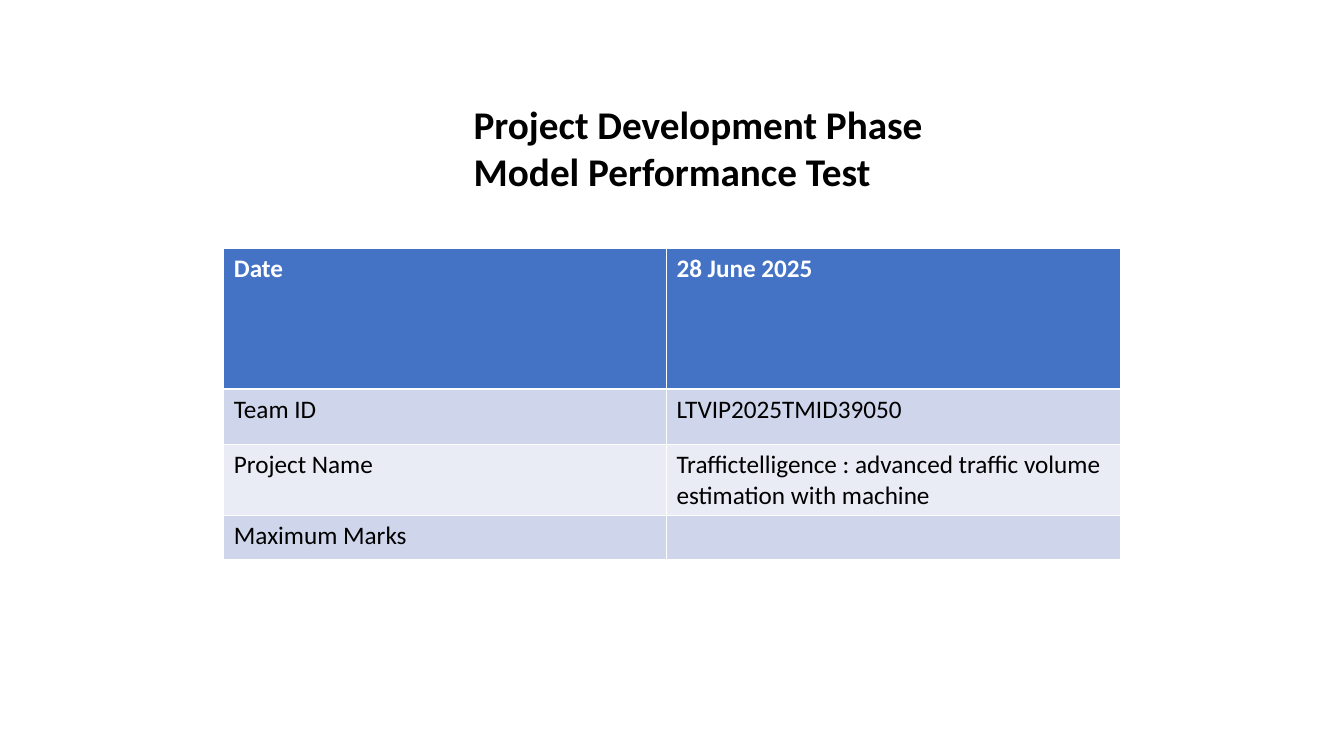
"""Build the project phase title slide with its details table."""
from pptx import Presentation
from pptx.dml.color import RGBColor
from pptx.enum.text import MSO_AUTO_SIZE
from pptx.util import Inches, Pt

FIT_SHAPE = MSO_AUTO_SIZE.SHAPE_TO_FIT_TEXT
BLACK = RGBColor(0x00, 0x00, 0x00)
WHITE = RGBColor(0xFF, 0xFF, 0xFF)
HEADER_BLUE = RGBColor(0x44, 0x72, 0xC4)
BAND_DARK = RGBColor(0xCF, 0xD5, 0xEA)
BAND_LIGHT = RGBColor(0xE9, 0xEB, 0xF5)

TITLE_LINES = ["Project Development Phase", "Model Performance Test"]
DETAILS = [
    ("Date", "28 June 2025"),
    ("Team ID", "LTVIP2025TMID39050"),
    ("Project Name", "Traffictelligence : advanced traffic volume estimation with machine"),
    ("Maximum Marks", ""),
]
COLUMN_WIDTHS = [4.39, 4.5]
ROW_HEIGHTS = [1.4, 0.55, 0.44, 0.44]
ROW_FILLS = [HEADER_BLUE, BAND_DARK, BAND_LIGHT, BAND_DARK]


def style_font(font, size, color, bold):
    font.name = "Calibri"
    font.size = Pt(size)
    font.color.rgb = color
    font.bold = bold


deck = Presentation()
deck.slide_width = Inches(13.33)
deck.slide_height = Inches(7.5)
page = deck.slides.add_slide(deck.slide_layouts[6])

title_box = page.shapes.add_textbox(Inches(4.6), Inches(0.95), Inches(4.7), Inches(1.51))
title_frame = title_box.text_frame
title_frame.word_wrap = False
title_frame.auto_size = FIT_SHAPE
title_frame.text = "\n".join(TITLE_LINES)
for para in title_frame.paragraphs:
    for span in para.runs:
        style_font(span.font, 28, BLACK, True)

table = page.shapes.add_table(
    len(DETAILS), len(COLUMN_WIDTHS), Inches(2.22), Inches(2.46),
    Inches(sum(COLUMN_WIDTHS)), Inches(sum(ROW_HEIGHTS)),
).table
for column, width in zip(table.columns, COLUMN_WIDTHS):
    column.width = Inches(width)

for row_index, (row, height) in enumerate(zip(table.rows, ROW_HEIGHTS)):
    row.height = Inches(height)
    is_header = row_index == 0
    for cell, wording in zip(row.cells, DETAILS[row_index]):
        cell.fill.solid()
        cell.fill.fore_color.rgb = ROW_FILLS[row_index]
        cell.text = wording
        para = cell.text_frame.paragraphs[0]
        for span in para.runs:
            style_font(span.font, 18, WHITE if is_header else BLACK, is_header)

deck.save("out.pptx")
